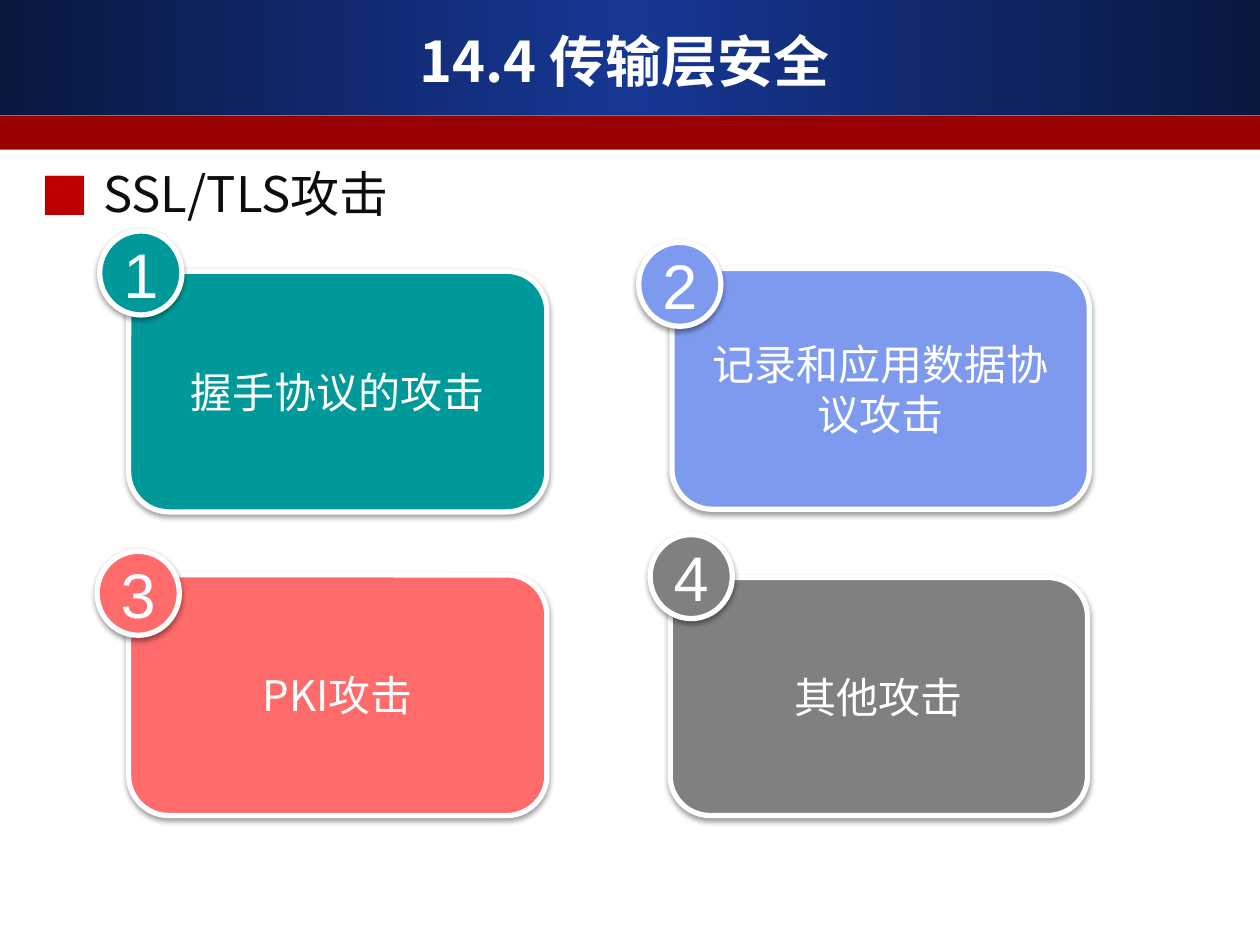
"""Builds a slide on transport layer security with four numbered kinds of attack."""
import copy
import pptx
import pptx.dml.color
import pptx.enum.shapes
import pptx.enum.text
import pptx.oxml.ns
import pptx.util
from lxml import etree

Pt = pptx.util.Pt
qn = pptx.oxml.ns.qn
Kind = pptx.enum.shapes.MSO_SHAPE
Align = pptx.enum.text.PP_ALIGN
color = pptx.dml.color.RGBColor.from_string


class Theme:
    white, ink, red, mark = "FFFFFF", "0D0D0D", "990000", "C00000"
    edge, mid = "0A1840", "163794"
    cards = ["009999", "7E9AEE", "FF6A6A", "808080"]
    title, lead, body, badge = 32, 28, 24, 36
    font, digit = "Noto Sans CJK SC", "Arial"


def block(kind, box, fill, line=0, shade=False):
    shape = slide.shapes.add_shape(kind, *map(Pt, box))
    shape.shadow.inherit = False
    shape.fill.solid()
    shape.fill.fore_color.rgb = color(fill)
    if line:
        shape.line.color.rgb = color(Theme.white)
        shape.line.width = Pt(line)
    else:
        shape.line.fill.background()
    if shade:
        effect = shape._element.spPr.find(qn("a:effectLst"))
        outer = etree.SubElement(effect, qn("a:outerShdw"), blurRad=str(Pt(3.1)),
                                 dist=str(Pt(1.6)), dir="5400000", rotWithShape="0")
        black = etree.SubElement(outer, qn("a:srgbClr"), val="000000")
        etree.SubElement(black, qn("a:alpha"), val="38000")
    return shape


def write(shape, text, size, face=Theme.font, tint=Theme.white, bold=False):
    frame = shape.text_frame
    frame.word_wrap = True
    frame.vertical_anchor = pptx.enum.text.MSO_ANCHOR.MIDDLE
    frame.text = text
    para = frame.paragraphs[0]
    para.alignment = Align.CENTER
    font = para.runs[0].font
    font.size, font.name, font.bold = Pt(size), face, bold
    font.color.rgb = color(tint)
    etree.SubElement(font._element, qn("a:ea"), typeface=face)
    return para


deck = pptx.Presentation()
deck.slide_width, deck.slide_height = Pt(720), Pt(540)
slide = deck.slides.add_slide(deck.slide_layouts[6])

band = block(Kind.RECTANGLE, (0, 0, 720, 65.5), Theme.edge)
band.fill.gradient()
band.fill.gradient_angle = 0
stops = band._element.spPr.find(qn("a:gradFill")).find(qn("a:gsLst"))
stops.insert(1, copy.deepcopy(stops[0]))
tints = [Theme.edge, Theme.mid, Theme.edge]
for stop, place, tint in zip(band.fill.gradient_stops, (0, 0.5, 1), tints):
    stop.position = place
    stop.color.rgb = color(tint)
block(Kind.RECTANGLE, (0, 66, 720, 19.5), Theme.red)

title = slide.shapes.add_textbox(Pt(23.75), Pt(12.25), Pt(666), Pt(44.5))
write(title, "14.4 传输层安全", Theme.title, bold=True)

lead = block(Kind.RECTANGLE, (16, 90, 649.5, 41), Theme.white, 2)
para = write(lead, "SSL/TLS攻击", Theme.lead, tint=Theme.ink)
para.alignment = Align.LEFT
props = para._p.get_or_add_pPr()
props.set("marL", str(Pt(36)))
props.set("indent", str(Pt(-36)))
tone = etree.SubElement(props, qn("a:buClr"))
etree.SubElement(tone, qn("a:srgbClr"), val=Theme.mark)
etree.SubElement(props, qn("a:buFont"), typeface=Theme.font)
etree.SubElement(props, qn("a:buChar"), char="■")

items = [
    ("握手协议的攻击", (73.5, 155, 239, 137.5), (57, 132)),
    ("记录和应用数据协议攻击", (384, 153.5, 238.5, 137.5), (365, 138.5)),
    ("PKI攻击", (73.5, 328.5, 239, 137.5), (55.5, 315)),
    ("其他攻击", (383, 330, 238.5, 136), (371.5, 305.5)),
]
for (text, box, _), tint in zip(items, Theme.cards):
    card = block(Kind.ROUNDED_RECTANGLE, box, tint, 3, True)
    write(card, text, Theme.body)

for num, ((_, _, spot), tint) in enumerate(zip(items, Theme.cards), 1):
    badge = block(Kind.OVAL, (*spot, 47, 48), tint, 3, True)
    write(badge, str(num), Theme.badge, Theme.digit)
    frame = badge.text_frame
    frame.margin_left = frame.margin_right = frame.margin_top = frame.margin_bottom = 0

deck.save("out.pptx")
